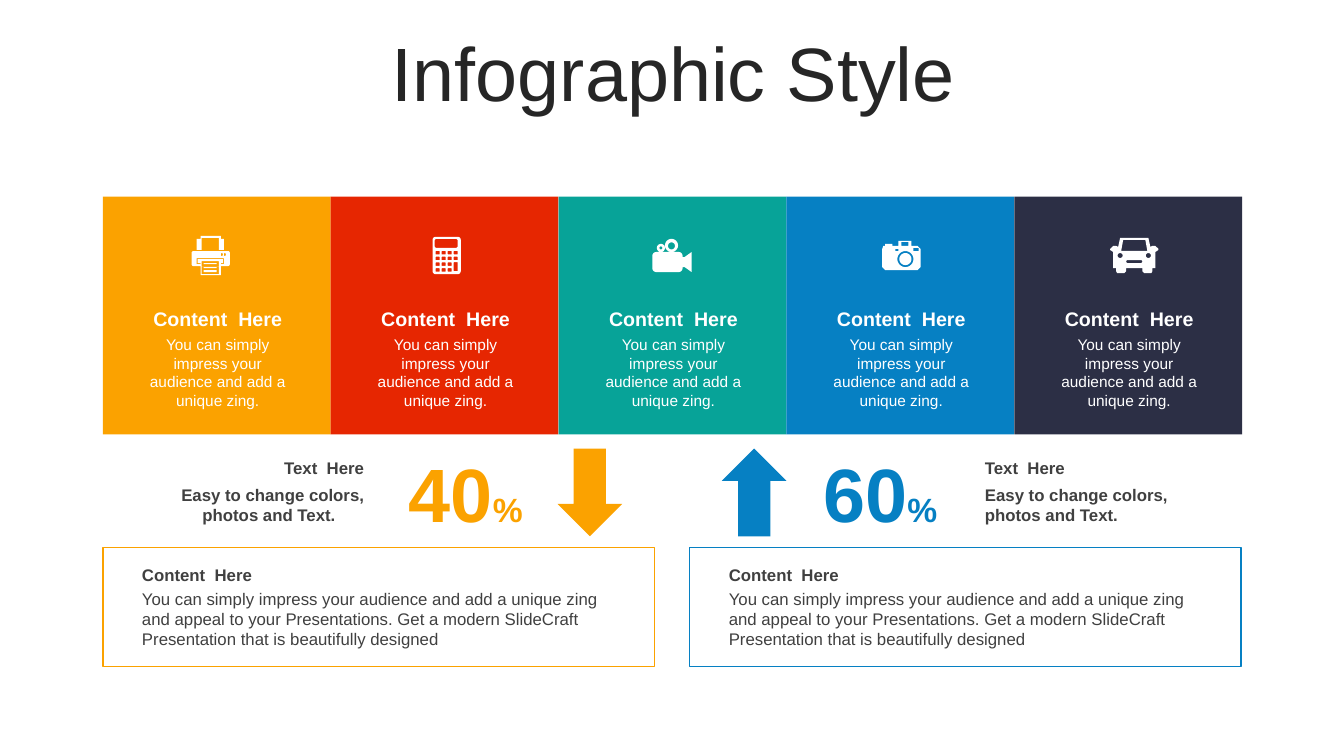
"""Builds the "Infographic Style" slide: five icon tiles, two percentages and two text panels."""
from math import cos, pi, sin

from pptx import Presentation
from pptx import util as u
from pptx.dml.color import RGBColor
from pptx.enum import shapes, text

WHITE, INK, TITLE_INK = "FFFFFF", "404040", "262626"
ORANGE, RED, TEAL, BLUE, NAVY = "FBA200", "E62601", "07A398", "0680C3", "2C2F45"
LEFT, CENTER, RIGHT = text.PP_ALIGN.LEFT, text.PP_ALIGN.CENTER, text.PP_ALIGN.RIGHT
TOP, MIDDLE = text.MSO_ANCHOR.TOP, text.MSO_ANCHOR.MIDDLE

deck = Presentation()
deck.slide_width, deck.slide_height = u.Inches(13.33), u.Inches(7.5)
slide = deck.slides.add_slide(deck.slide_layouts[6])


def paint(shape, fill=None, line=None):
    """Gives a shape its fill and outline, without a shadow."""
    shape.shadow.inherit = False
    if fill:
        shape.fill.solid()
        shape.fill.fore_color.rgb = RGBColor.from_string(fill)
    else:
        shape.fill.background()
    if line:
        shape.line.color.rgb = RGBColor.from_string(line)
        shape.line.width = u.Pt(1)
    else:
        shape.line.fill.background()


def write(place, runs, color, align=LEFT, anchor=TOP, bold=False):
    """Adds a one-paragraph text box from (wording, size) runs and returns the paragraph."""
    box = slide.shapes.add_textbox(*[u.Inches(length) for length in place])
    frame = box.text_frame
    frame.word_wrap = True
    frame.vertical_anchor = anchor
    paragraph = frame.paragraphs[0]
    paragraph.alignment = align
    for wording, size in runs:
        run = paragraph.add_run()
        run.text = wording
        run.font.name, run.font.size, run.font.bold = "Arial", u.Pt(size), bold
        run.font.color.rgb = RGBColor.from_string(color)
    return paragraph


title = write((0.35, 0.37, 12.66, 0.79), [("Infographic Style", 54)], TITLE_INK, CENTER, MIDDLE)
title.line_spacing = 0.9

# Icon outlines in hundredths of an inch: blocks are left, top, right, bottom, corner radius.
printer = [
    (0, 15, 38, 30, 2), (9, 30, 29, 39, 0), (10, 25, 27, 38, 0),
    (12, 27, 25, 28, 0), (12, 31, 25, 32, 0), (12, 34, 25, 36, 0),
    (29, 17, 31, 20, 1), (32, 17, 34, 20, 1),
    [(5, 22), (5, 28), (9, 28), (9, 27), (6, 27), (6, 23),
     (31, 23), (31, 27), (29, 27), (29, 28), (32, 28), (32, 22)],
    [(9, 0), (29, 0), (29, 3), (32, 3), (32, 14), (27, 14),
     (27, 2), (10, 2), (10, 14), (5, 14), (5, 3), (9, 3)],
]
calculator = [(0, 0, 28, 37, 3), (2, 2, 25, 11, 2), (21, 25, 25, 34, 0.5)] + [
    (3 + 6 * col, 14 + 5.7 * row, 7 + 6 * col, 17.5 + 5.7 * row, 0.5)
    for row in range(4) for col in range(4) if col < 3 or row < 2
]
video_camera = [
    (0, 13, 30, 33, 4), (12.5, 0, 25.5, 13, 6.5), (15.5, 3.5, 22.5, 10.5, 3.5),
    (4.5, 5, 12.5, 13, 4), (7, 7.5, 10, 10.5, 1.5),
    [(30, 18), (32, 18), (39, 13), (39, 33), (32, 28), (30, 28)],
]
photo_camera = [
    [(0, 8), (1, 5), (3, 5), (3, 3), (10, 3), (10, 5), (16, 5), (16, 0), (29, 0),
     (29, 5), (35, 5), (38, 8), (38, 26), (35, 29), (3, 29), (0, 26)],
    (15, 10, 31, 26, 8), (17, 12, 29, 24, 6),
    (13, 8, 16, 10, 0), (31, 7, 36, 10, 0), (19, 1, 26, 5, 0),
]
car = [
    [(10, 0), (38, 0), (40, 9), (42, 8), (45, 8), (48, 11), (48, 12), (45, 14), (45, 30),
     (42, 30), (42, 33), (41, 35), (34, 35), (32, 33), (32, 30), (16, 30), (16, 33),
     (14, 35), (7, 35), (6, 33), (6, 30), (3, 30), (3, 14), (0, 12), (0, 11), (3, 8),
     (6, 8), (8, 9)],
    [(13, 2), (11, 13), (37, 13), (35, 2)],
    (7.5, 15, 12.5, 20, 2.5), (35.5, 15, 40.5, 20, 2.5), (16, 22, 32, 25, 1.5),
]

margin, tile_width = 1.02, 2.26
tiles = [
    (ORANGE, printer, 1.9, 2.34), (RED, calculator, 4.29, 2.35),
    (TEAL, video_camera, 6.47, 2.37), (BLUE, photo_camera, 8.75, 2.39),
    (NAVY, car, 11.01, 2.36),
]
for column, (color, icon, icon_left, icon_top) in enumerate(tiles):
    left = margin + column * tile_width
    tile = slide.shapes.add_shape(
        shapes.MSO_SHAPE.RECTANGLE, u.Inches(left), u.Inches(1.95),
        u.Inches(tile_width), u.Inches(2.36))
    paint(tile, color)
    write((left + 0.31, 2.99, 1.66, 0.34), [("Content  Here", 14)], WHITE, CENTER, MIDDLE, True)
    write((left + 0.31, 3.28, 1.66, 0.66),
          [("You can simply impress your audience and add a unique zing.", 11)], WHITE, CENTER)

    outline = None
    for contour in icon:
        if isinstance(contour, tuple):
            x1, y1, x2, y2, radius = contour
            corners = [(x2 - radius, y2 - radius), (x1 + radius, y2 - radius),
                       (x1 + radius, y1 + radius), (x2 - radius, y1 + radius)]
            steps = range(7) if radius else [0]
            contour = [(x + radius * cos(pi / 2 * (turn + step / 6)),
                        y + radius * sin(pi / 2 * (turn + step / 6)))
                       for turn, (x, y) in enumerate(corners) for step in steps]
        points = [(u.Inches(icon_left + x / 100), u.Inches(icon_top + y / 100))
                  for x, y in contour]
        if outline is None:
            outline = slide.shapes.build_freeform(*points[0])
        else:
            outline.move_to(*points[0])
        outline.add_line_segments(points[1:], close=True)
    paint(outline.convert_to_shape(), WHITE)

halves = [
    ("40", ORANGE, 3.91, 5.53, 0, 1.6, 2.11, RIGHT, margin),
    ("60", BLUE, 8.02, 7.16, 180, 9.67, 2.07, LEFT, 6.84),
]
for share, color, share_left, arrow_left, turn, note_left, note_width, align, panel_left in halves:
    write((share_left, 4.38, 1.42, 1.01), [(share, 54), ("%", 24)], color, CENTER, bold=True)
    arrow = slide.shapes.add_shape(
        shapes.MSO_SHAPE.DOWN_ARROW, u.Inches(arrow_left), u.Inches(4.45),
        u.Inches(0.64), u.Inches(0.87))
    arrow.rotation = turn
    paint(arrow, color)

    write((note_left, 4.49, note_width, 0.3), [("Text  Here", 12)], INK, align, MIDDLE, True)
    note = write((note_left, 4.76, note_width + 0.05, 0.5),
                 [("Easy to change colors, photos and Text.", 12)], INK, bold=True)
    if align == RIGHT:
        indents = note._p.get_or_add_pPr()
        indents.set("marL", str(u.Inches(0.31)))
        indents.set("indent", str(u.Inches(-0.21)))

    panel = slide.shapes.add_shape(
        shapes.MSO_SHAPE.RECTANGLE, u.Inches(panel_left), u.Inches(5.43),
        u.Inches(5.47), u.Inches(1.18))
    paint(panel, line=color)
    write((panel_left + 0.29, 5.55, 4.88, 0.3), [("Content  Here", 12)], INK, bold=True)
    write((panel_left + 0.29, 5.79, 4.88, 0.71),
          [("You can simply impress your audience and add a unique zing and appeal to your "
            "Presentations. Get a modern SlideCraft Presentation that is beautifully designed",
            12)], INK)

deck.save("out.pptx")
